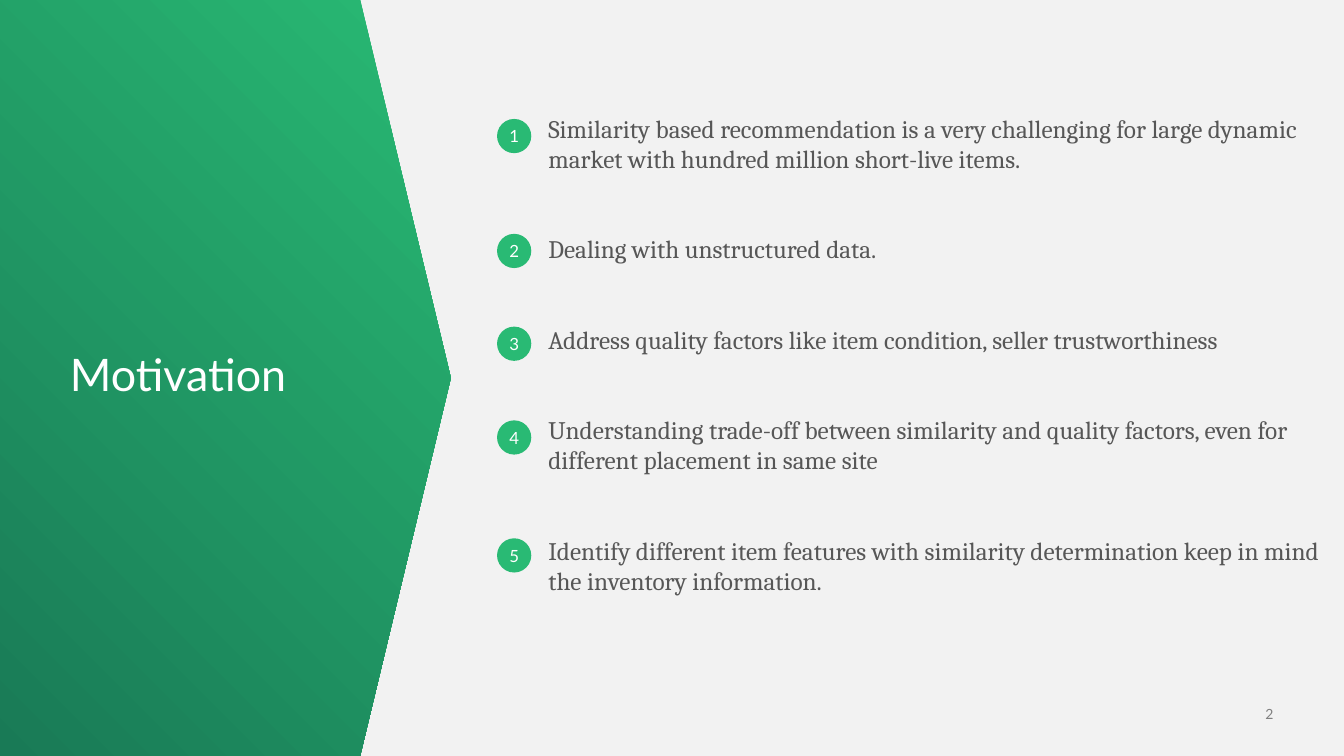
from pptx import Presentation
from pptx import util as u
from pptx.dml import color as c
from pptx.enum import shapes, text
from dataclasses import dataclass
from lxml import etree


@dataclass(frozen=True)
class Theme:
    """Colours, fonts and type sizes."""
    back: str = "F2F2F2"
    light: str = "29BA74"
    dark: str = "197A56"
    ink: str = "575757"
    grey: str = "808080"
    white: str = "FFFFFF"
    sans: str = "Lato"
    serif: str = "Cambria"
    head: int = 32
    body: int = 18
    badge: int = 12
    foot: int = 10


LEFT, MID, RIGHT = text.PP_ALIGN.LEFT, text.PP_ALIGN.CENTER, text.PP_ALIGN.RIGHT
TOP, CENTRE, BASE = text.MSO_ANCHOR.TOP, text.MSO_ANCHOR.MIDDLE, text.MSO_ANCHOR.BOTTOM


def apply(item, form):
    """Set each attribute named in a dict."""
    for name, value in form.items():
        setattr(item, name, value)


class Deck:
    """Draws on one slide, with lengths in percent of its size."""

    def __init__(self, theme):
        """Open a wide deck with one titled slide."""
        self.theme = theme
        self.prs = Presentation()
        apply(self.prs, {"slide_width": u.Inches(13.33), "slide_height": u.Inches(7.5)})
        self.slide = self.prs.slides.add_slide(self.prs.slide_layouts[1])
        fill = self.slide.background.fill
        fill.solid()
        fill.fore_color.rgb = self.tint(theme.back)

    def tint(self, code):
        """Turn a hex code into a colour."""
        return c.RGBColor.from_string(code)

    def spot(self, x, y):
        """Turn percents into a slide point."""
        return int(self.prs.slide_width * x / 100), int(self.prs.slide_height * y / 100)

    def box(self, x, y, w, h):
        """Turn percents into a left, top, width and height."""
        return (*self.spot(x, y), *self.spot(w, h))

    def label(self, shape, lines, font, size, hue, align, anchor, pad=0, **form):
        """Fill a shape with styled paragraphs."""
        frame = shape.text_frame
        frame.text = "\n".join(lines)
        apply(frame, {"word_wrap": True, "auto_size": text.MSO_AUTO_SIZE.NONE,
                      "vertical_anchor": anchor,
                      "margin_left": u.Inches(pad), "margin_right": u.Inches(pad),
                      "margin_top": u.Inches(pad / 2), "margin_bottom": u.Inches(pad / 2)})
        for para in frame.paragraphs:
            apply(para, {"alignment": align, "space_before": u.Pt(0), **form})
            for run in para.runs:
                apply(run.font, {"name": font, "size": u.Pt(size)})
                run.font.color.rgb = self.tint(hue)

    def place(self, shape, area):
        """Move a placeholder onto an area."""
        apply(shape, dict(zip(("left", "top", "width", "height"), self.box(*area))))

    def panel(self, points):
        """Draw a gradient outline behind everything else."""
        start, *rest = [self.spot(*point) for point in points]
        pen = self.slide.shapes.build_freeform(*start)
        pen.add_line_segments(rest, close=True)
        shape = pen.convert_to_shape()
        shape.shadow.inherit = False
        shape.line.fill.background()
        shape.fill.gradient()
        shape.fill.gradient_angle = 225
        for stop, hue in zip(shape.fill.gradient_stops, (self.theme.light, self.theme.dark)):
            stop.color.rgb = self.tint(hue)
        node = shape.element
        node.getparent().insert(2, node)

    def title(self, words, area):
        """Set the slide title."""
        t, shape = self.theme, self.slide.shapes.title
        self.place(shape, area)
        self.label(shape, [words], t.sans, t.head, t.white, LEFT, CENTRE, line_spacing=0.9)

    def points(self, lines, area):
        """Set the body list, spaced and without bullets."""
        t, shape = self.theme, self.slide.placeholders[1]
        self.place(shape, area)
        self.label(shape, lines, t.serif, t.body, t.ink, LEFT, TOP, pad=0.1,
                   space_after=u.Pt(43))
        for para in shape.text_frame.paragraphs:
            prop = para._p.get_or_add_pPr()
            prop.set("marL", "0")
            prop.set("indent", "0")
            space = etree.QName(prop).namespace
            etree.SubElement(prop, f"{{{space}}}buNone")

    def badge(self, mark, area):
        """Draw a numbered disc."""
        t = self.theme
        shape = self.slide.shapes.add_shape(shapes.MSO_SHAPE.OVAL, *self.box(*area))
        shape.shadow.inherit = False
        shape.line.fill.background()
        shape.fill.solid()
        shape.fill.fore_color.rgb = self.tint(t.light)
        self.label(shape, [mark], t.sans, t.badge, t.white, MID, CENTRE)

    def folio(self, mark, area):
        """Add the page number."""
        t = self.theme
        shape = self.slide.shapes.add_textbox(*self.box(*area))
        self.label(shape, [mark], t.sans, t.foot, t.grey, RIGHT, BASE)


ITEMS = [
    (15.73, "Similarity based recommendation is a very challenging for large dynamic "
            "market with hundred million short-live items."),
    (30.93, "Dealing with unstructured data."),
    (43.2, "Address quality factors like item condition, seller trustworthiness"),
    (55.6, "Understanding trade-off between similarity and quality factors, even for "
           "different placement in same site"),
    (71.2, "Identify different item features with similarity determination keep in mind "
           "the inventory information."),
]


def main():
    """Build the slide and save it."""
    deck = Deck(Theme())
    deck.panel([(0, 0), (26.8, 0), (33.55, 50), (26.8, 100), (0, 100)])
    deck.title("Motivation", (5.2, 40.27, 20.3, 19.2))
    deck.points([line for _, line in ITEMS], (40.05, 14.27, 59.95, 66))
    for rank, (top, _) in enumerate(ITEMS, 1):
        deck.badge(str(rank), (36.98, top, 2.55, 4.53))
    deck.folio("2", (91.6, 93.33, 3.15, 2.27))
    deck.prs.save("out.pptx")


if __name__ == "__main__":
    main()
